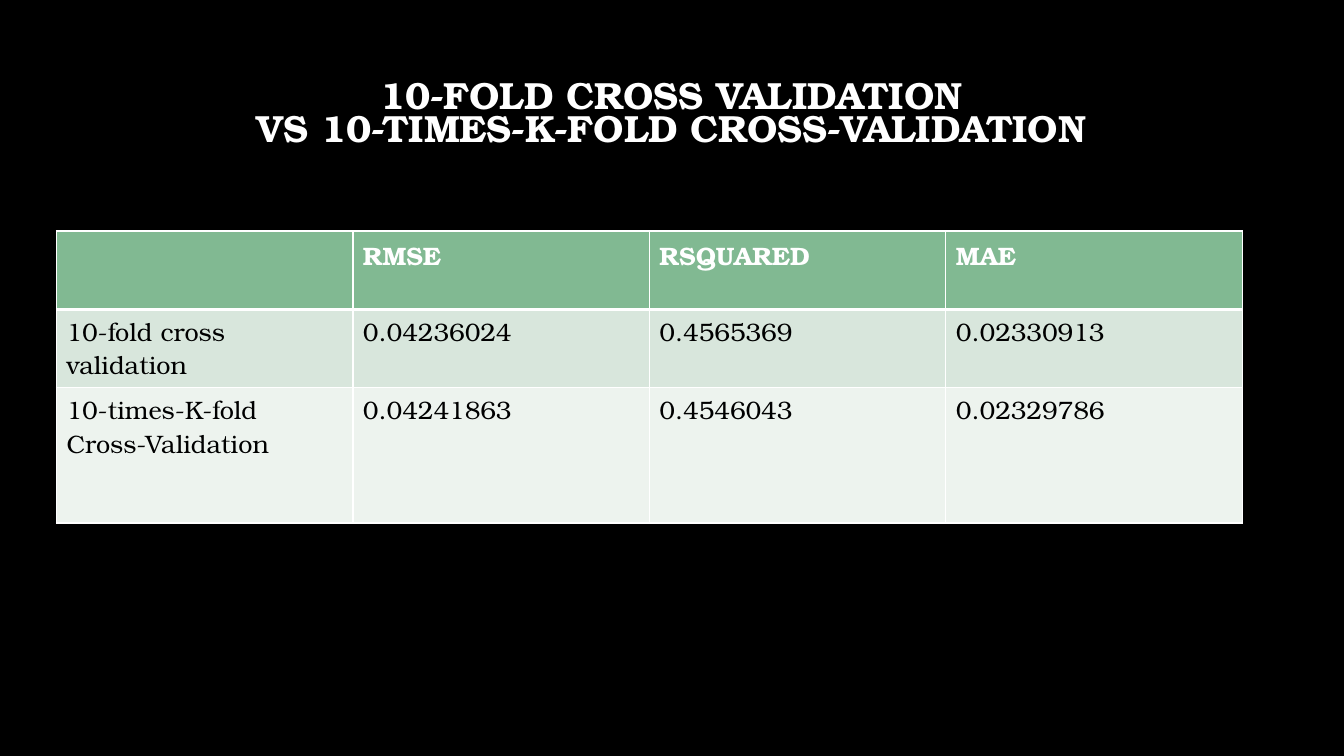
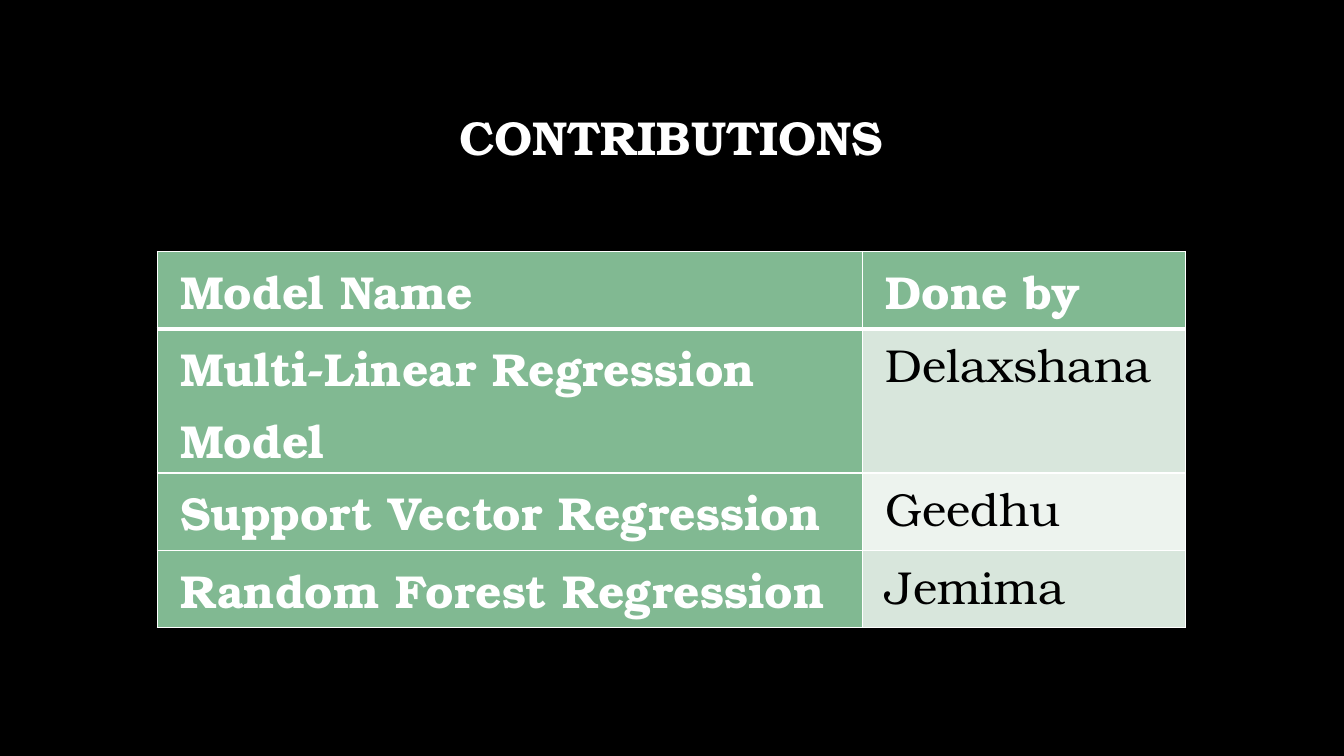
from lxml import etree
from pptx import Presentation
from pptx.dml.color import RGBColor
from pptx.enum.text import MSO_ANCHOR, MSO_AUTO_SIZE, PP_ALIGN
from pptx.oxml.ns import qn
from pptx.util import Pt

# Shared look
BLACK = RGBColor(0x00, 0x00, 0x00)
WHITE = RGBColor(0xFF, 0xFF, 0xFF)
GREEN = RGBColor(0x81, 0xB9, 0x92)
BANDS = (RGBColor(0xD8, 0xE6, 0xDC), RGBColor(0xED, 0xF3, 0xEE))
FONT = "TeX Gyre Bonum"
MIDDLE = MSO_ANCHOR.MIDDLE
TOP = MSO_ANCHOR.TOP
CENTER = PP_ALIGN.CENTER
LEFT = PP_ALIGN.LEFT
NO_AUTOFIT = MSO_AUTO_SIZE.NONE
TITLE_ONLY = 5
THIN, THICK = 1, 3

# Formats of the two tables
SCORE_CELL = {"margin_left": Pt(7.2), "margin_right": Pt(7.2),
              "margin_top": Pt(3.6), "margin_bottom": Pt(3.6)}
SCORE_TEXT = {"alignment": LEFT}
MODEL_CELL = {"margin_left": Pt(16.6), "margin_right": Pt(16.6),
              "margin_top": Pt(0), "margin_bottom": Pt(0)}
MODEL_TEXT = {"alignment": LEFT, "line_spacing": 1.07, "space_after": Pt(8)}

# Content
SCORES = [
    ("", "RMSE", "RSQUARED", "MAE"),
    ("10-fold cross validation", "0.04236024", "0.4565369", "0.02330913"),
    ("10-times-K-fold Cross-Validation", "0.04241863", "0.4546043",
     "0.02329786"),
]
CONTRIBUTIONS = [
    ("Model Name", "Done by"),
    ("Multi-Linear Regression Model", "Delaxshana"),
    ("Support Vector Regression", "Geedhu"),
    ("Random Forest Regression", "Jemima"),
]


def apply(target, values):
    for name, value in values.items():
        setattr(target, name, value)


def style_font(font, size, color, bold):
    apply(font, {"name": FONT, "size": Pt(size), "bold": bold})
    font.color.rgb = color


def add_titled_slide(prs, text, size, line_spacing, bottom_inset=3.6):
    slide = prs.slides.add_slide(prs.slide_layouts[TITLE_ONLY])
    title = slide.shapes.title
    apply(title, {"left": Pt(72), "top": Pt(48),
                  "width": Pt(815), "height": Pt(104.4)})
    frame = title.text_frame
    frame.text = text
    apply(frame, {"word_wrap": True, "auto_size": NO_AUTOFIT,
                  "vertical_anchor": MIDDLE,
                  "margin_bottom": Pt(bottom_inset)})
    heading = frame.paragraphs[0]
    apply(heading, {"alignment": CENTER, "line_spacing": line_spacing})
    for run in heading.runs:
        style_font(run.font, size, WHITE, True)
    return slide


def set_borders(cell, top, bottom):
    properties = cell._tc.get_or_add_tcPr()
    widths = {"a:lnL": THIN, "a:lnR": THIN, "a:lnT": top, "a:lnB": bottom}
    for side, width in widths.items():
        line = etree.SubElement(properties, qn(side), w=str(Pt(width)))
        fill = etree.SubElement(line, qn("a:solidFill"))
        etree.SubElement(fill, qn("a:srgbClr"), val=str(WHITE))


def add_grid(slide, rows, left, top, widths, heights, size, cell_format,
             text_format, heading_column=False):
    table = slide.shapes.add_table(
        len(rows), len(widths), Pt(left), Pt(top),
        Pt(sum(widths)), Pt(sum(heights))).table
    apply(table, {"horz_banding": False, "first_col": heading_column})
    for column, width in zip(table.columns, widths):
        column.width = Pt(width)
    for r, (row, height) in enumerate(zip(rows, heights)):
        table.rows[r].height = Pt(height)
        for c, text in enumerate(row):
            cell = table.cell(r, c)
            heading = r == 0 or (heading_column and c == 0)
            # The rule under the header is shared by rows 0 and 1
            set_borders(cell, THICK if r == 1 else THIN,
                        THICK if r == 0 else THIN)
            cell.fill.solid()
            cell.fill.fore_color.rgb = GREEN if heading else BANDS[(r - 1) % 2]
            apply(cell, {**cell_format, "vertical_anchor": TOP})
            cell.text = text
            paragraph = cell.text_frame.paragraphs[0]
            apply(paragraph, text_format)
            for run in paragraph.runs:
                style_font(run.font, size, WHITE if heading else BLACK, heading)


def main():
    prs = Presentation()
    prs.slide_width, prs.slide_height = Pt(960), Pt(540)
    backdrop = prs.slide_master.background.fill
    backdrop.solid()
    backdrop.fore_color.rgb = BLACK

    # Validation scores
    scores = add_titled_slide(
        prs,
        "10-FOLD CROSS VALIDATION\vVS 10-TIMES-K-FOLD CROSS-VALIDATION",
        27, 0.73, bottom_inset=38)
    add_grid(scores, SCORES, 40.3, 165, [211.8] * 4, [56, 56, 96.6], 18,
             SCORE_CELL, SCORE_TEXT)

    # Who built which model
    contributions = add_titled_slide(prs, "CONTRIBUTIONS", 34, 0.9)
    add_grid(contributions, CONTRIBUTIONS, 112.3, 179.6, [503.8, 230.8],
             [55.3, 93.6, 55.3, 55.3], 33, MODEL_CELL, MODEL_TEXT,
             heading_column=True)

    prs.save("out.pptx")


if __name__ == "__main__":
    main()
